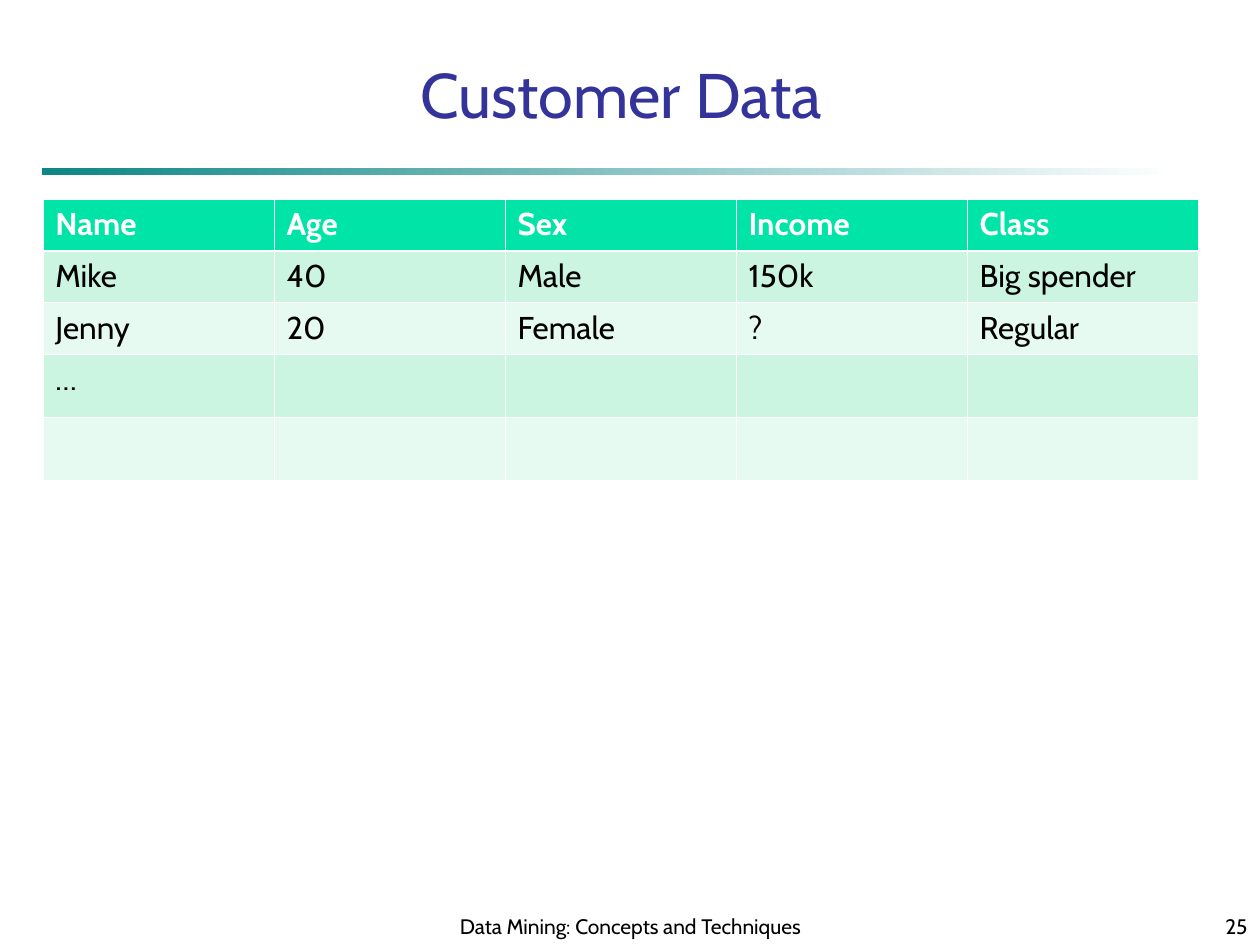
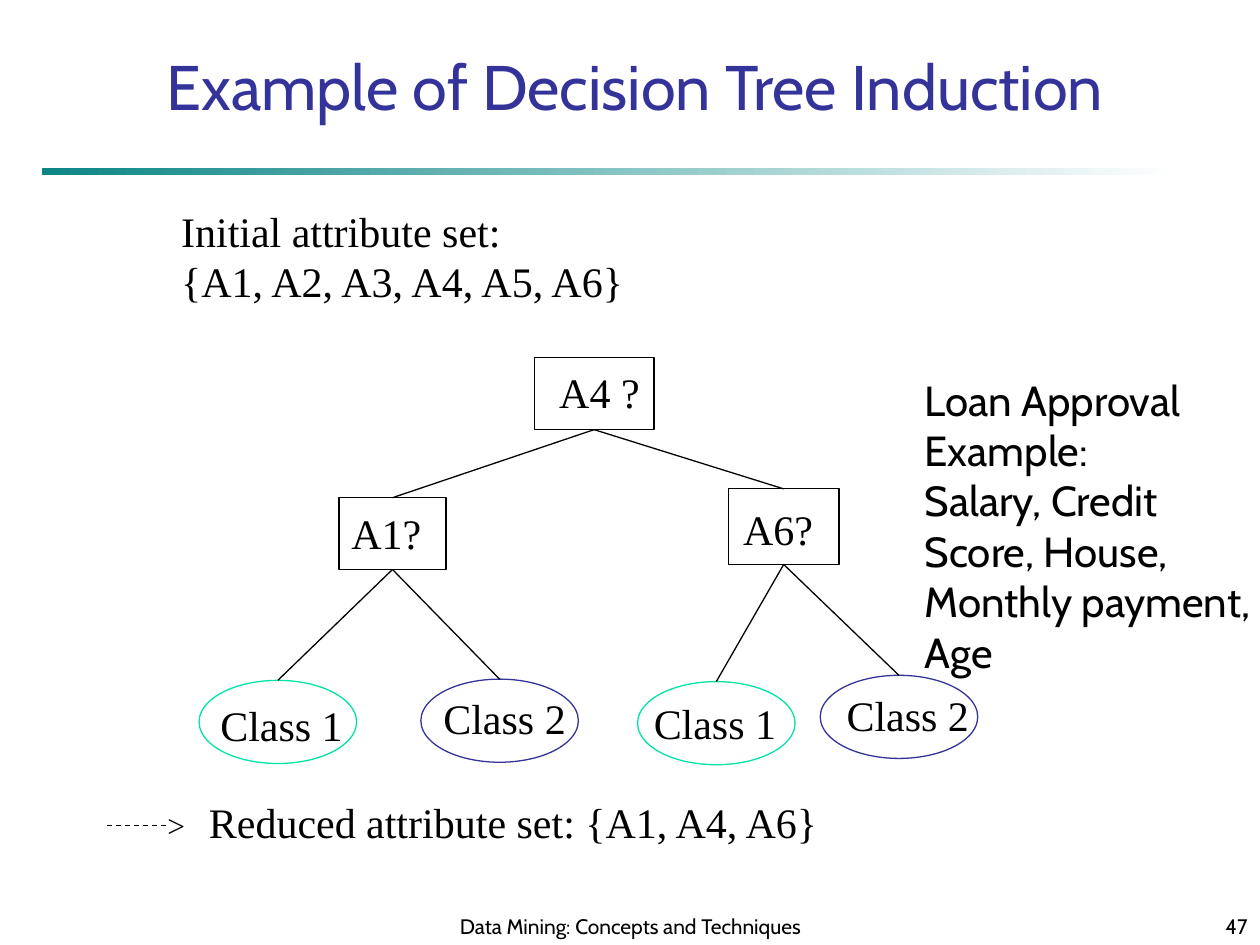
"""Build two slides on data mining: a customer table and a decision tree."""
from lxml.etree import SubElement
from pptx import Presentation
from pptx.dml.color import RGBColor
from pptx.enum.dml import MSO_LINE
from pptx.enum.shapes import MSO_CONNECTOR, MSO_SHAPE
from pptx.enum.text import MSO_ANCHOR, PP_ALIGN
from pptx.oxml.ns import qn
from pptx.util import Inches, Pt

SANS, SERIF = "Cabin", "Times New Roman"
BLACK, WHITE, NAVY, TEAL, MINT = "000000", "FFFFFF", "333399", "0D8686", "00E4A8"
BANDS = ["CBF5E1", "E7FAF1"]


def paint(target, color):
    if hasattr(target, "solid"):
        target.solid()
        target = target.fore_color
    target.rgb = RGBColor.from_string(color)


def write(slide, text, box, size=24, font=SERIF, color=BLACK,
          align=PP_ALIGN.LEFT, anchor=MSO_ANCHOR.TOP):
    frame = slide.shapes.add_textbox(*map(Inches, box)).text_frame
    frame.word_wrap = True
    frame.vertical_anchor = anchor
    frame.text = text
    for para in frame.paragraphs:
        para.alignment = align
        para.font.size = Pt(size)
        para.font.name = font
        paint(para.font.color, color)


deck = Presentation()
deck.slide_width, deck.slide_height = Inches(10), Inches(7.5)

pages = [
    ("Customer Data", (0.67, 0.42, 8.52, 0.67), MSO_ANCHOR.BOTTOM, "25"),
    ("Example of Decision Tree Induction", (0.83, 0.33, 8.42, 1.3), MSO_ANCHOR.TOP, "47"),
]
slides = []
for title, box, anchor, number in pages:
    slide = deck.slides.add_slide(deck.slide_layouts[6])
    slides.append(slide)
    rule = slide.shapes.add_shape(
        MSO_SHAPE.RECTANGLE, Inches(0.33), Inches(1.33), Inches(9), Inches(0.06))
    rule.shadow.inherit = False
    rule.line.fill.background()
    rule.fill.gradient()
    rule.fill.gradient_angle = 0
    for stop, color in zip(rule.fill.gradient_stops, (TEAL, WHITE)):
        paint(stop.color, color)
    write(slide, title, box, 36, SANS, NAVY, PP_ALIGN.CENTER, anchor)
    write(slide, "Data Mining: Concepts and Techniques", (3.42, 7.08, 3.17, 0.42),
          12, SANS, align=PP_ALIGN.CENTER, anchor=MSO_ANCHOR.BOTTOM)
    write(slide, number, (7.92, 7.08, 2.08, 0.42),
          12, SANS, align=PP_ALIGN.RIGHT, anchor=MSO_ANCHOR.BOTTOM)
data, tree = slides

rows = [
    ["Name", "Age", "Sex", "Income", "Class"],
    ["Mike", "40", "Male", "150k", "Big spender"],
    ["Jenny", "20", "Female", "?", "Regular"],
    ["…", "", "", "", ""],
    ["", "", "", "", ""],
]
heights = [0.41, 0.41, 0.41, 0.5, 0.5]
grid = data.shapes.add_table(5, 5, Inches(0.34), Inches(1.58),
                             Inches(9.17), Inches(sum(heights))).table
for r, (row, height) in enumerate(zip(rows, heights)):
    grid.rows[r].height = Inches(height)
    for c, text in enumerate(row):
        cell = grid.cell(r, c)
        cell.text = text
        font = cell.text_frame.paragraphs[0].font
        font.size, font.name, font.bold = Pt(18), SANS, r == 0
        paint(font.color, BLACK if r else WHITE)
        props = cell._tc.get_or_add_tcPr()
        for side in "LRTB":
            thick = (r, side) in [(0, "B"), (1, "T")]
            edge = SubElement(props, qn(f"a:ln{side}"), w=str(Pt(1.47 if thick else 0.45)))
            fill = SubElement(edge, qn("a:solidFill"))
            SubElement(fill, qn("a:srgbClr"), val=WHITE)
        paint(cell.fill, BANDS[(r - 1) % 2] if r else MINT)

write(tree, "Initial attribute set:\n{A1, A2, A3, A4, A5, A6}", (1.34, 1.58, 3.8, 0.9))

box, oval = MSO_SHAPE.RECTANGLE, MSO_SHAPE.OVAL
nodes = [
    (box, BLACK, (4.24, 2.84, 0.95, 0.57), "A4 ?", (4.34, 2.86)),
    (box, BLACK, (2.69, 3.95, 0.85, 0.57), "A1?", (2.69, 3.98)),
    (box, BLACK, (5.78, 3.88, 0.88, 0.6), "A6?", (5.8, 3.95)),
    (oval, MINT, (1.58, 5.4, 1.25, 0.66), "Class 1", (1.65, 5.5)),
    (oval, NAVY, (3.34, 5.39, 1.25, 0.66), "Class 2", (3.42, 5.45)),
    (oval, MINT, (5.06, 5.41, 1.25, 0.66), "Class 1", (5.09, 5.49)),
    (oval, NAVY, (6.51, 5.36, 1.25, 0.66), "Class 2", (6.62, 5.42)),
]
shapes = []
for kind, color, place, label, spot in nodes:
    node = tree.shapes.add_shape(kind, *map(Inches, place))
    node.shadow.inherit = False
    node.fill.background()
    node.line.width = Pt(0.75)
    paint(node.line.color, color)
    shapes.append(node)
    write(tree, label, (*spot, 1.25 if kind == oval else 0.97, 0.5))

links = []
for child in range(1, len(shapes)):
    link = tree.shapes.add_connector(MSO_CONNECTOR.STRAIGHT, 0, 0, 0, 0)
    link.begin_connect(shapes[(child - 1) // 2], 2)
    link.end_connect(shapes[child], 0)
    links.append(link)
dash = tree.shapes.add_connector(
    MSO_CONNECTOR.STRAIGHT, Inches(0.85), Inches(6.55), Inches(1.33), Inches(6.55))
dash.line.dash_style = MSO_LINE.DASH
for link in links + [dash]:
    link.line.width = Pt(0.75)
    paint(link.line.color, BLACK)
    SubElement(link._element.spPr, qn("a:effectLst"))

write(tree, ">", (1.23, 6.35, 0.4, 0.4), 18)
write(tree, "Reduced attribute set: {A1, A4, A6}", (1.56, 6.27, 5.15, 0.5))
write(tree, "Loan Approval\nExample:\nSalary, Credit\nScore, House,\nMonthly payment,\nAge",
      (7.24, 2.92, 3.05, 2.5), font=SANS)

deck.save("out.pptx")
